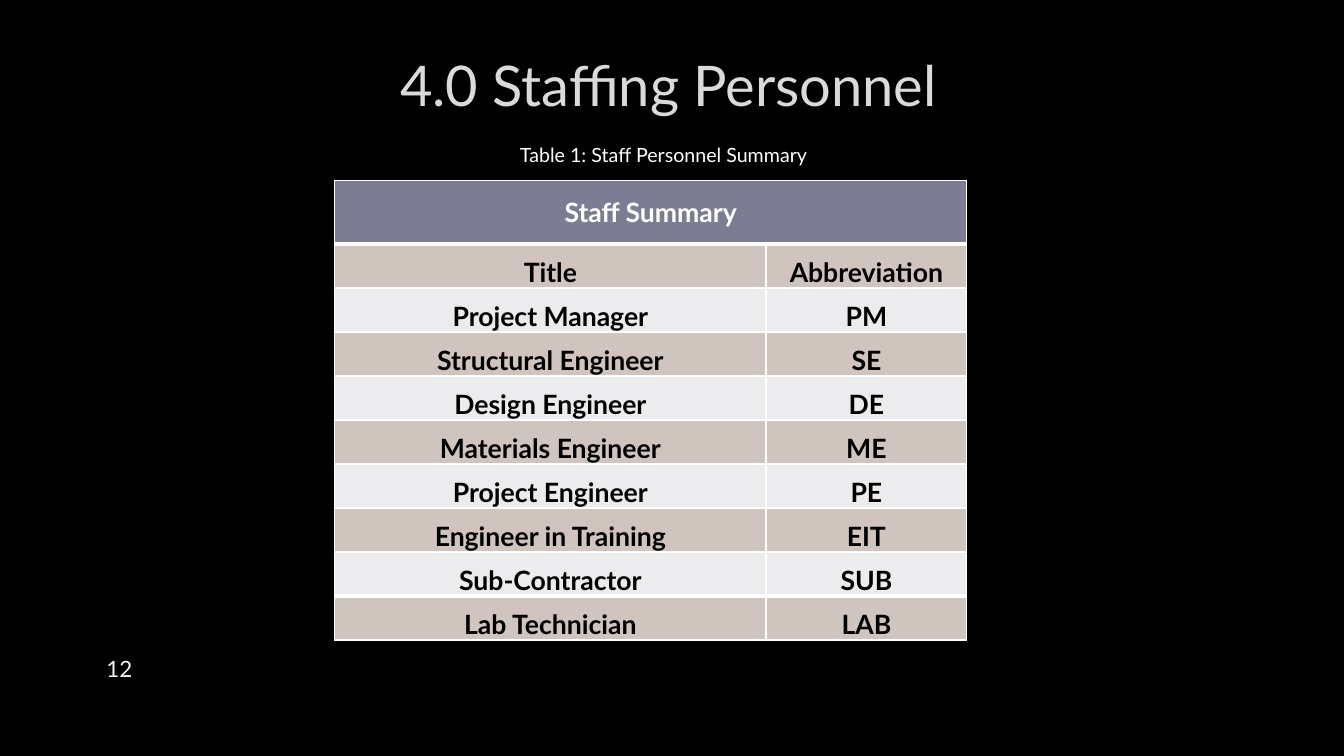
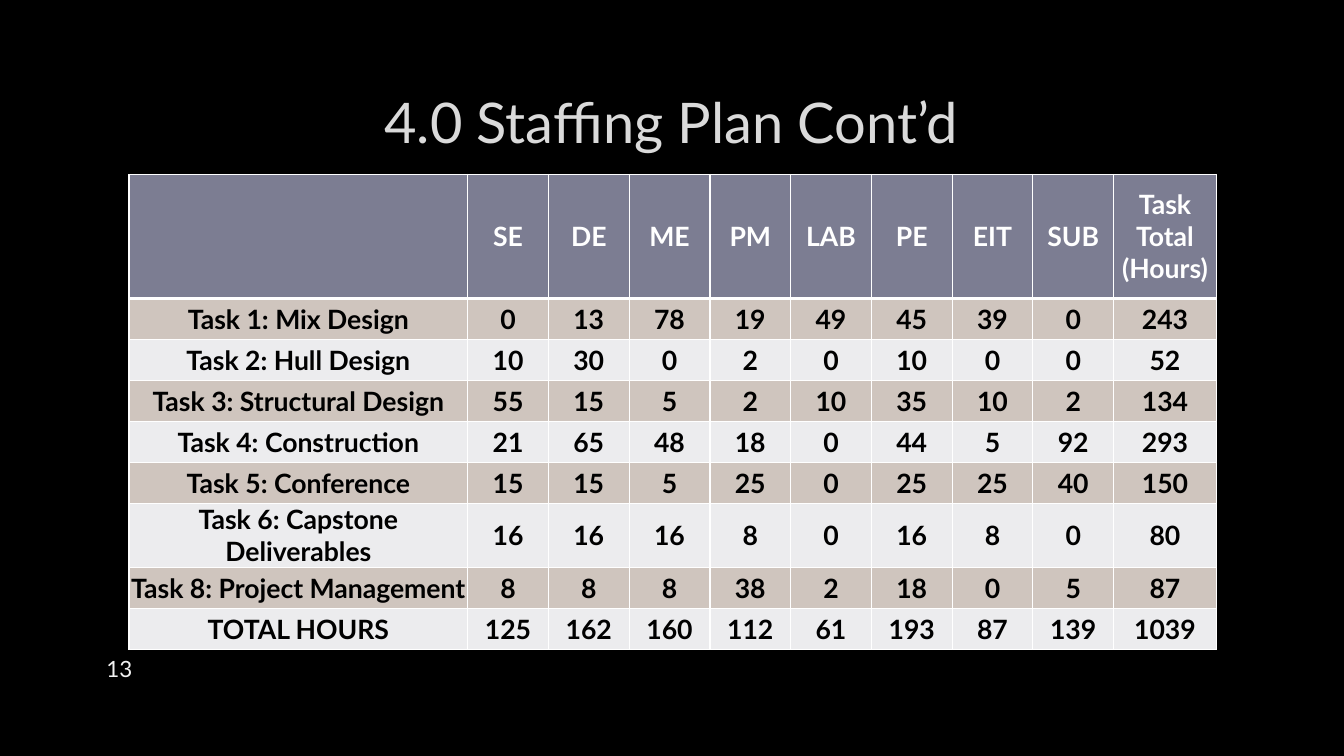
"""Builds two staffing slides: personnel abbreviations and planned hours per task."""
from lxml.etree import SubElement
from pptx import Presentation
from pptx.dml.color import RGBColor
from pptx.enum.text import MSO_ANCHOR, PP_ALIGN
from pptx.oxml.ns import qn
from pptx.util import Inches, Pt

COLORS = {
    "background": "000000",
    "title": "DADADA",
    "number": "F2F2F2",
    "white": "FFFFFF",
    "ink": "000000",
    "header": "7C7D92",
    "odd": "CFC5BE",
    "even": "ECECEE",
}
FONT = "Lato"
WIDTH, HEIGHT = Inches(13.33), Inches(7.5)
THIN, THICK = 1, 3

STAFF = [
    ("Staff Summary", ""),
    ("Title", "Abbreviation"),
    ("Project Manager", "PM"),
    ("Structural Engineer", "SE"),
    ("Design Engineer", "DE"),
    ("Materials Engineer", "ME"),
    ("Project Engineer", "PE"),
    ("Engineer in Training", "EIT"),
    ("Sub-Contractor", "SUB"),
    ("Lab Technician", "LAB"),
]
HOURS = [
    ("", "SE", "DE", "ME", "PM", "LAB", "PE", "EIT", "SUB", "Task Total (Hours)"),
    ("Task 1: Mix Design", 0, 13, 78, 19, 49, 45, 39, 0, 243),
    ("Task 2: Hull Design", 10, 30, 0, 2, 0, 10, 0, 0, 52),
    ("Task 3: Structural Design", 55, 15, 5, 2, 10, 35, 10, 2, 134),
    ("Task 4: Construction", 21, 65, 48, 18, 0, 44, 5, 92, 293),
    ("Task 5: Conference", 15, 15, 5, 25, 0, 25, 25, 40, 150),
    ("Task 6: Capstone Deliverables", 16, 16, 16, 8, 0, 16, 8, 0, 80),
    ("Task 8: Project Management", 8, 8, 8, 38, 2, 18, 0, 5, 87),
    ("TOTAL HOURS", 125, 162, 160, 112, 61, 193, 87, 139, 1039),
]


def across(percent):
    """Return a percentage of the slide's width."""
    return round(WIDTH * percent / 100)


def down(percent):
    """Return a percentage of the slide's height."""
    return round(HEIGHT * percent / 100)


def area(left, top, width, height):
    """Turn percentages of the slide into a position and size."""
    return across(left), down(top), across(width), down(height)


def write(frame, text, size, color, align=PP_ALIGN.CENTER, bold=False):
    """Write one styled run into the first paragraph of a frame."""
    paragraph = frame.paragraphs[0]
    paragraph.alignment = align
    paragraph.font.size = Pt(size)
    run = paragraph.add_run()
    run.text = text
    run.font.name = FONT
    run.font.size = Pt(size)
    run.font.bold = bold
    run.font.color.rgb = RGBColor.from_string(COLORS[color])


def add_label(slide, place, text, size, color, align):
    """Add a line of text centred vertically in its area."""
    frame = slide.shapes.add_textbox(*area(*place)).text_frame
    frame.word_wrap = True
    frame.vertical_anchor = MSO_ANCHOR.MIDDLE
    write(frame, text, size, color, align)


def add_titled_slide(deck, title, left, top, number):
    """Add a slide with its title and page number."""
    slide = deck.slides.add_slide(deck.slide_layouts.get_by_name("Title Only"))
    heading = slide.shapes.title
    heading.left, heading.top, heading.width, heading.height = area(left, top, 84.9, 14.13)
    heading.text_frame.vertical_anchor = MSO_ANCHOR.MIDDLE
    write(heading.text_frame, title, 40, "title")
    add_label(slide, (4.43, 85.73, 6.15, 5.33), number, 16, "number", PP_ALIGN.RIGHT)
    return slide


def set_borders(cell, top, bottom):
    """Draw white borders around a cell with the given top and bottom widths."""
    properties = cell._tc.get_or_add_tcPr()
    for side, points in (("L", THIN), ("R", THIN), ("T", top), ("B", bottom)):
        line = SubElement(properties, qn(f"a:ln{side}"), w=str(Pt(points)))
        fill = SubElement(line, qn("a:solidFill"))
        SubElement(fill, qn("a:srgbClr"), val=COLORS["white"])


def size_tracks(tracks, attribute, total, fixed):
    """Give fixed tracks their sizes and share the rest of the total equally."""
    rest = (total - sum(fixed.values())) / (len(tracks) - len(fixed))
    for index, track in enumerate(tracks):
        setattr(track, attribute, round(fixed.get(index, rest)))


def add_staff_table(slide, records, place, columns, rows, anchor, padding, rules):
    """Add a striped table with a header row and thick rules below chosen rows."""
    bounds = area(*place)
    table = slide.shapes.add_table(len(records), len(records[0]), *bounds).table
    size_tracks(table.columns, "width", bounds[2], {i: across(w) for i, w in columns.items()})
    size_tracks(table.rows, "height", bounds[3], {i: down(h) for i, h in rows.items()})
    for row, record in enumerate(records):
        header = row == 0
        stripe = "header" if header else "odd" if row % 2 else "even"
        for column, value in enumerate(record):
            cell = table.cell(row, column)
            cell.margin_left = cell.margin_right = cell.margin_top = padding
            cell.margin_bottom = 0
            cell.vertical_anchor = MSO_ANCHOR.MIDDLE if header else anchor
            set_borders(cell, *(THICK if edge in rules else THIN for edge in (row - 1, row)))
            cell.fill.solid()
            cell.fill.fore_color.rgb = RGBColor.from_string(COLORS[stripe])
            if value != "":
                write(cell.text_frame, str(value), 19, "white" if header else "ink", bold=True)
    return table


def add_personnel_slide(deck):
    """Add the slide that lists titles and abbreviations."""
    slide = add_titled_slide(deck, "4.0 Staffing Personnel", 7.28, 4, "12")
    table = add_staff_table(slide, STAFF, (24.9, 23.87, 47.03, 60.8), {0: 32.1}, {0: 8.4},
                            MSO_ANCHOR.BOTTOM, across(0.07), {0, len(STAFF) - 2})
    table.cell(0, 0).merge(table.cell(0, 1))
    add_label(slide, (37.95, 17.77, 24.08, 5.33), "Table 1: Staff Personnel Summary",
              14, "white", PP_ALIGN.LEFT)


def add_plan_slide(deck):
    """Add the slide that lists hours per task and role."""
    slide = add_titled_slide(deck, "4.0 Staffing Plan Cont’d", 7.5, 8.93, "13")
    add_staff_table(slide, HOURS, (9.6, 23.07, 80.93, 62.8), {0: 25.2, 9: 7.65},
                    {0: 16.4, 6: 8.4}, MSO_ANCHOR.MIDDLE, 0, {0})


def main():
    """Build and save the deck."""
    deck = Presentation()
    deck.slide_width, deck.slide_height = WIDTH, HEIGHT
    backdrop = deck.slide_master.background.fill
    backdrop.solid()
    backdrop.fore_color.rgb = RGBColor.from_string(COLORS["background"])
    add_personnel_slide(deck)
    add_plan_slide(deck)
    deck.save("out.pptx")


if __name__ == "__main__":
    main()
